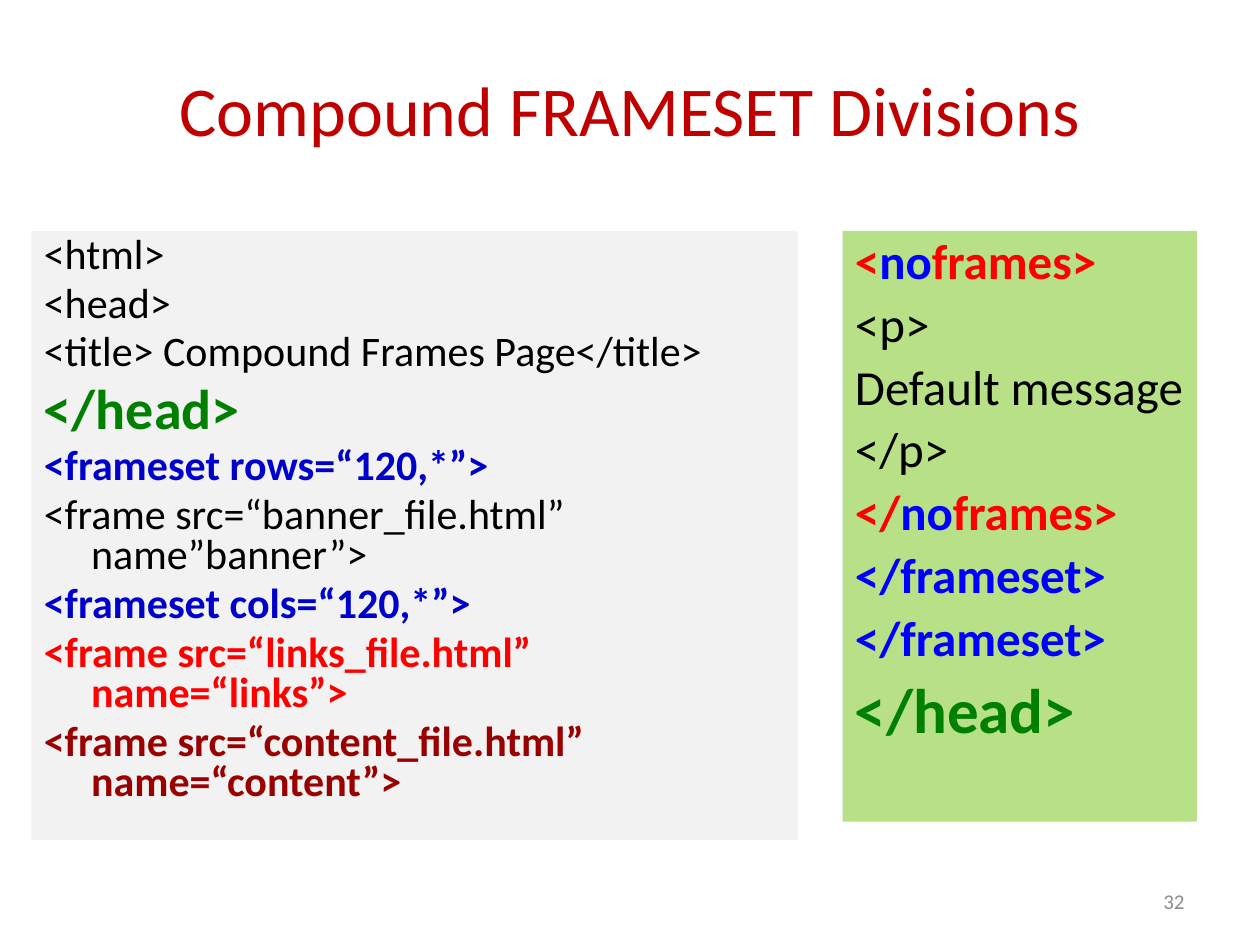
import pptx
import pptx.dml.color
import pptx.enum.shapes
import pptx.enum.text
import pptx.util

Pt = pptx.util.Pt
RGBColor = pptx.dml.color.RGBColor
PP_ALIGN = pptx.enum.text.PP_ALIGN
MIDDLE = pptx.enum.text.MSO_ANCHOR.MIDDLE

FONT = "Calibri"
BLACK = RGBColor(0x00, 0x00, 0x00)
GRAY = RGBColor(0x8C, 0x8C, 0x8C)
TITLE_RED = RGBColor(0xC0, 0x00, 0x00)
RED = RGBColor(0xFF, 0x00, 0x00)
DARK_RED = RGBColor(0x99, 0x00, 0x00)
GREEN = RGBColor(0x00, 0x80, 0x00)
NAVY = RGBColor(0x00, 0x00, 0xCC)
BLUE = RGBColor(0x00, 0x00, 0xFF)
PALE_GRAY = RGBColor(0xF2, 0xF2, 0xF2)
PALE_GREEN = RGBColor(0xB8, 0xE1, 0x87)

FRAMESET_CODE = [
    ([("<html>", BLACK)], 24, False),
    ([("<head>", BLACK)], 24, False),
    ([("<title> Compound Frames Page</title>", BLACK)], 24, False),
    ([("</head>", GREEN)], 32, True),
    ([("<frameset rows=“120,*”>", NAVY)], 24, True),
    ([("<frame src=“banner_file.html” name”banner”>", BLACK)], 24, False),
    ([("<frameset cols=“120,*”>", NAVY)], 24, True),
    ([("<frame src=“links_file.html” name=“links”>", RED)], 24, True),
    ([("<frame src=“content_file.html” name=“content”>", DARK_RED)], 24, True),
]
NOFRAMES_CODE = [
    ([("<", RED), ("no", BLUE), ("frames>", RED)], 28, True),
    ([("<p>", BLACK)], 28, False),
    ([("Default message", BLACK)], 28, False),
    ([("</p>", BLACK)], 28, False),
    ([("</", RED), ("no", BLUE), ("frames>", RED)], 28, True),
    ([("</frameset>", BLUE)], 28, True),
    ([("</frameset>", BLUE)], 28, True),
    ([("</head>", GREEN)], 36, True),
]


def set_font(p, size, bold=False):
    """Set the font that all runs of a paragraph share."""
    p.font.name = FONT
    p.font.size = Pt(size)
    p.font.bold = bold


def add_label(slide, box, text, size, color, align):
    """Add one line of vertically centred text."""
    tf = slide.shapes.add_textbox(*map(Pt, box)).text_frame
    tf.word_wrap = True
    tf.vertical_anchor = MIDDLE
    p = tf.paragraphs[0]
    p.text = text
    p.alignment = align
    set_font(p, size)
    p.font.color.rgb = color


def add_code_panel(slide, box, fill, lines, spacing):
    """Add a filled rectangle of code lines with hanging indents."""
    rect = pptx.enum.shapes.MSO_SHAPE.RECTANGLE
    sp = slide.shapes.add_shape(rect, *map(Pt, box))
    sp.shadow.inherit = False
    sp.fill.solid()
    sp.fill.fore_color.rgb = fill
    sp.line.fill.background()
    tf = sp.text_frame
    tf.word_wrap = True
    tf.vertical_anchor = pptx.enum.text.MSO_ANCHOR.TOP
    for i, (runs, size, bold) in enumerate(lines):
        p = tf.add_paragraph() if i else tf.paragraphs[0]
        p.alignment = PP_ALIGN.LEFT
        p.line_spacing = spacing
        p.space_before = Pt(0.2 * size if i else 0)
        pPr = p._p.get_or_add_pPr()
        pPr.set("marL", str(Pt(27)))
        pPr.set("indent", str(Pt(-27)))
        set_font(p, size, bold)
        for text, color in runs:
            r = p.add_run()
            r.text = text
            r.font.color.rgb = color


def main():
    """Build the slide and save it."""
    prs = pptx.Presentation()
    prs.slide_width, prs.slide_height = Pt(720), Pt(540)
    slide = prs.slides.add_slide(prs.slide_layouts[6])
    add_label(slide, (516, 500.5, 168, 28.75), "32", 12, GRAY, PP_ALIGN.RIGHT)
    add_label(slide, (36, 21.6, 648, 81), "Compound FRAMESET Divisions", 40,
              TITLE_RED, PP_ALIGN.CENTER)
    add_code_panel(slide, (18, 132, 438, 348), PALE_GRAY, FRAMESET_CODE, 0.8)
    add_code_panel(slide, (481.5, 132, 202.5, 337.5), PALE_GREEN,
                   NOFRAMES_CODE, 0.9)
    prs.save("out.pptx")


if __name__ == "__main__":
    main()
